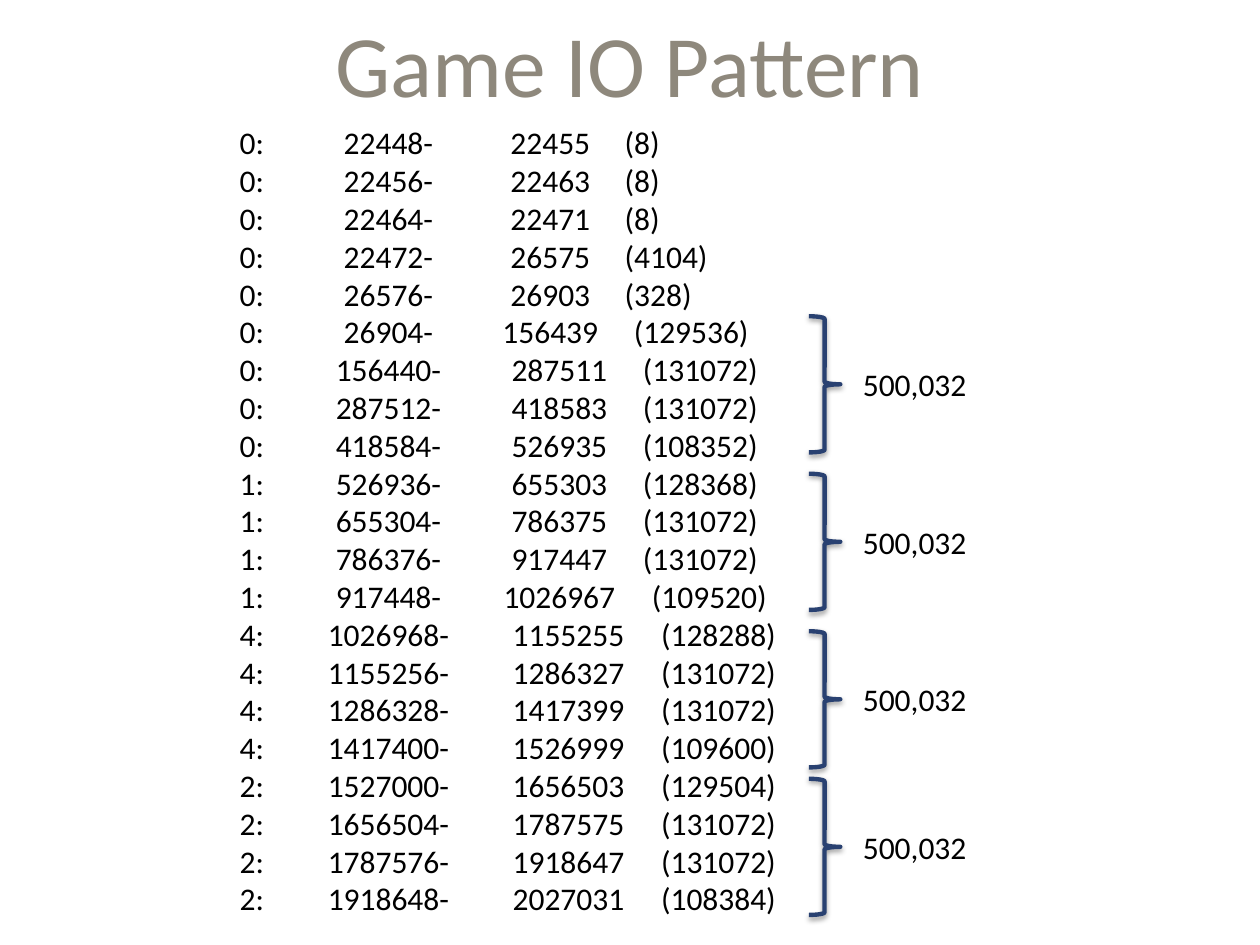
"""Build a slide listing the block ranges of an IO trace, with braces totalling each group."""
from lxml import etree
from pptx import Presentation
from pptx.dml.color import RGBColor
from pptx.enum.shapes import MSO_SHAPE
from pptx.enum.text import MSO_ANCHOR, MSO_AUTO_SIZE, PP_ALIGN
from pptx.oxml.ns import qn
from pptx.util import Pt

RIGHT_BRACE = MSO_SHAPE.RIGHT_BRACE
TOP, MIDDLE = MSO_ANCHOR.TOP, MSO_ANCHOR.MIDDLE
LEFT, CENTER = PP_ALIGN.LEFT, PP_ALIGN.CENTER
GROW, FIXED = MSO_AUTO_SIZE.SHAPE_TO_FIT_TEXT, MSO_AUTO_SIZE.NONE

COLORS = {"title": "8E887C", "text": "000000", "brace": "294171", "shadow": "000000"}
FONT = "Calibri"
TITLE = "Game IO Pattern"
RANGES = [
    (0, 22448, 22455, 8),
    (0, 22456, 22463, 8),
    (0, 22464, 22471, 8),
    (0, 22472, 26575, 4104),
    (0, 26576, 26903, 328),
    (0, 26904, 156439, 129536),
    (0, 156440, 287511, 131072),
    (0, 287512, 418583, 131072),
    (0, 418584, 526935, 108352),
    (1, 526936, 655303, 128368),
    (1, 655304, 786375, 131072),
    (1, 786376, 917447, 131072),
    (1, 917448, 1026967, 109520),
    (4, 1026968, 1155255, 128288),
    (4, 1155256, 1286327, 131072),
    (4, 1286328, 1417399, 131072),
    (4, 1417400, 1526999, 109600),
    (2, 1527000, 1656503, 129504),
    (2, 1656504, 1787575, 131072),
    (2, 1787576, 1918647, 131072),
    (2, 1918648, 2027031, 108384),
]
GROUPS = [(180.7, "500,032"), (270.7, "500,032"), (360.7, "500,032"), (445, "500,032")]
BRACE_LEFT, BRACE_WIDTH, BRACE_HEIGHT = 462.2, 18, 77.8
LABEL_LEFT, LABEL_WIDTH, LABEL_HEIGHT = 486, 75, 29
START_CENTER, END_CENTER, COUNT_LEFT = 85, 177.5, 220
DIGIT_SHIFT = 5.2


def add_text(slide, lines, box, size=18, color="text", align=LEFT, anchor=TOP,
             wrap=True, fit=GROW, inset=7.2):
    shape = slide.shapes.add_textbox(*map(Pt, box))
    frame = shape.text_frame
    frame.word_wrap, frame.auto_size, frame.vertical_anchor = wrap, fit, anchor
    frame.margin_left = Pt(inset)
    frame.text = "\n".join(lines)
    for paragraph in frame.paragraphs:
        paragraph.alignment = align
        font = paragraph.runs[0].font
        font.name, font.size = FONT, Pt(size)
        font.color.rgb = RGBColor.from_string(COLORS[color])
    return shape


def set_tab_stops(paragraph, stops):
    tab_list = etree.SubElement(paragraph._p.get_or_add_pPr(), qn("a:tabLst"))
    for position, alignment in stops:
        etree.SubElement(tab_list, qn("a:tab"), pos=str(int(Pt(position))), algn=alignment)


def add_ranges(slide):
    lines = [f"{disk}:\t{start}-\t{end}\t({count})" for disk, start, end, count in RANGES]
    shape = add_text(slide, lines, (113.8, 67, 527.8, 465.1), inset=23.2)
    for paragraph, (_, start, end, _) in zip(shape.text_frame.paragraphs, RANGES):
        start_extra, end_extra = len(str(start)) - 5, len(str(end)) - 5
        set_tab_stops(paragraph, [
            (START_CENTER, "ctr"),
            (END_CENTER + start_extra * DIGIT_SHIFT, "ctr"),
            (COUNT_LEFT + (start_extra + end_extra) * DIGIT_SHIFT, "l"),
        ])


def add_brace(slide, top):
    brace = slide.shapes.add_shape(
        RIGHT_BRACE, Pt(BRACE_LEFT), Pt(top), Pt(BRACE_WIDTH), Pt(BRACE_HEIGHT))
    brace.fill.background()
    brace.line.color.rgb = RGBColor.from_string(COLORS["brace"])
    brace.line.width = Pt(2.5)
    brace.shadow.inherit = False
    effects = brace._element.spPr.find(qn("a:effectLst"))
    shadow = etree.SubElement(
        effects, qn("a:outerShdw"), blurRad=str(int(Pt(3.1))), dist=str(int(Pt(1.6))),
        dir="5400000", rotWithShape="0")
    color = etree.SubElement(shadow, qn("a:srgbClr"), val=COLORS["shadow"])
    etree.SubElement(color, qn("a:alpha"), val="38000")


def main():
    presentation = Presentation()
    presentation.slide_width, presentation.slide_height = Pt(720), Pt(540)
    slide = presentation.slides.add_slide(presentation.slide_layouts[6])
    add_text(slide, [TITLE], (54, -18, 612, 108), size=50, color="title",
             align=CENTER, anchor=MIDDLE, fit=FIXED)
    add_ranges(slide)
    for top, total in GROUPS:
        label_top = top + (BRACE_HEIGHT - LABEL_HEIGHT) / 2
        add_text(slide, [total], (LABEL_LEFT, label_top, LABEL_WIDTH, LABEL_HEIGHT), wrap=False)
        add_brace(slide, top)
    presentation.save("out.pptx")


if __name__ == "__main__":
    main()
